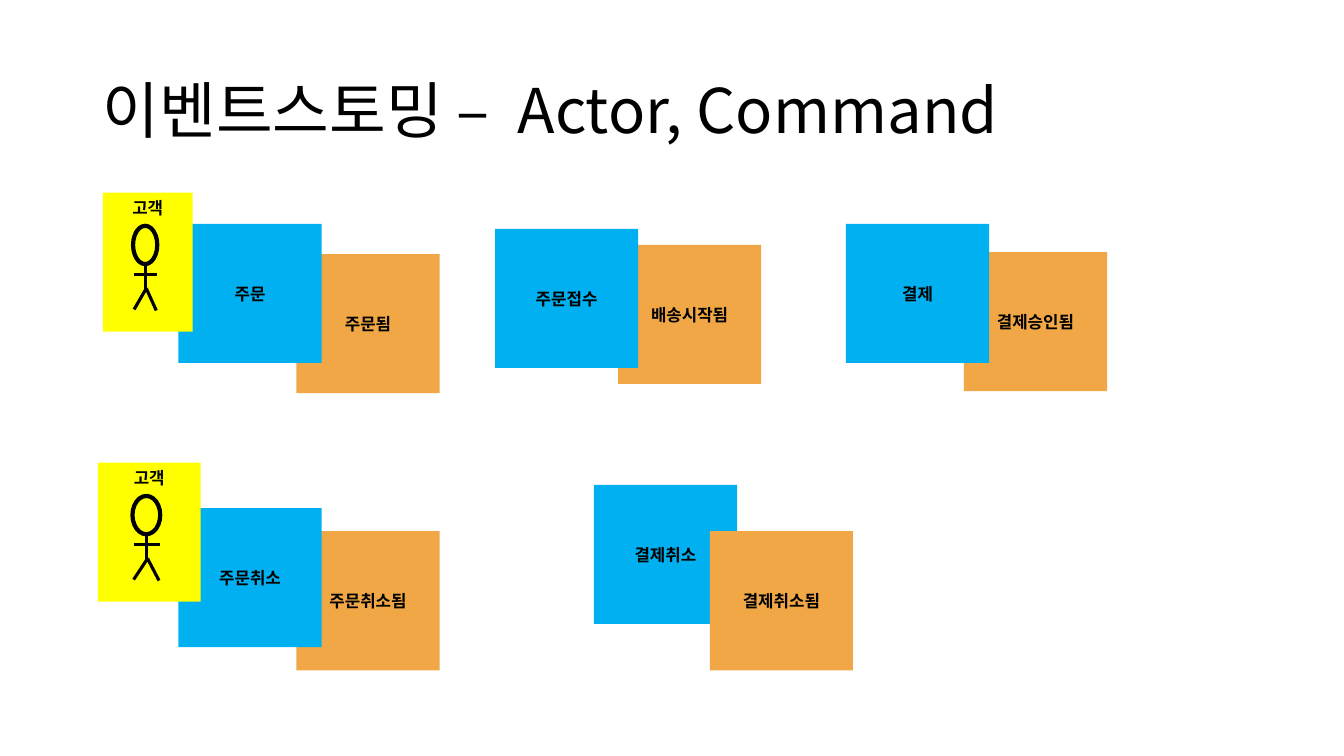
from lxml.etree import SubElement
from pptx import Presentation
from pptx.dml.color import RGBColor
from pptx.enum.shapes import MSO_CONNECTOR, MSO_SHAPE
from pptx.enum.text import MSO_ANCHOR, PP_ALIGN
from pptx.oxml.ns import qn
from pptx.util import Inches, Pt

COLORS = {"text": "000000", "event": "F1A746", "command": "00B0F0", "actor": "FFFF00"}
FONT = "Noto Sans CJK KR"
TITLE_FORMAT = {"name": FONT, "size": Pt(44)}
NOTE_FORMAT = {"name": FONT, "size": Pt(12), "bold": True}
NOTE_W, NOTE_H = 1.42, 1.38
ACTOR_W = 0.89

# Stick figure lines, measured from the corner of an actor note ACTOR_W wide
FIGURE_LINES = [
    (0.31, 0.81, 0.54, 0.81),  # arms
    (0.42, 0.71, 0.42, 0.99),  # body
    (0.42, 0.97, 0.31, 1.16),  # left leg
    (0.43, 0.95, 0.53, 1.17),  # right leg
]

# Notes from back to front: kind, text, left, top
NOTES = [
    ("event", "주문됨", 2.94, 2.52),
    ("event", "결제승인됨", 9.56, 2.5),
    ("event", "배송시작됨", 6.13, 2.43),
    ("event", "주문취소됨", 2.94, 5.27),
    ("command", "주문", 1.77, 2.22),
    ("command", "결제", 8.39, 2.22),
    ("command", "주문접수", 4.91, 2.27),
    ("command", "주문취소", 1.77, 5.04),
    ("command", "결제취소", 5.89, 4.81),
    ("event", "결제취소됨", 7.04, 5.27),
]

# Actors: left, top, width
ACTORS = [(1.02, 1.91, ACTOR_W), (0.97, 4.59, 1.02)]


def rgb(name):
    return RGBColor.from_string(COLORS[name])


def add_run(p, text, fmt):
    r = p.add_run()
    r.text = text
    for key, value in fmt.items():
        setattr(r.font, key, value)
    r.font.color.rgb = rgb("text")
    # East Asian glyphs take the same font
    SubElement(r.font._element, qn("a:ea"), typeface=FONT)
    return r


def add_title(s):
    sp = s.shapes.add_textbox(Inches(0.92), Inches(0.4), Inches(11.5), Inches(1.45))
    tf = sp.text_frame
    tf.word_wrap = True
    tf.vertical_anchor = MSO_ANCHOR.MIDDLE
    p = tf.paragraphs[0]
    p.line_spacing = 0.9
    add_run(p, "이벤트스토밍 –", TITLE_FORMAT)
    # Widened gap after the dash
    gap = add_run(p, " ", TITLE_FORMAT)
    gap.font._element.set("spc", "1000")
    add_run(p, "Actor, Command", TITLE_FORMAT)


def add_note(shapes, kind, text, x, y, w=NOTE_W, anchor=MSO_ANCHOR.MIDDLE):
    sp = shapes.add_shape(MSO_SHAPE.RECTANGLE, Inches(x), Inches(y), Inches(w), Inches(NOTE_H))
    sp.shadow.inherit = False
    sp.fill.solid()
    sp.fill.fore_color.rgb = rgb(kind)
    sp.line.fill.background()
    tf = sp.text_frame
    tf.word_wrap = True
    tf.vertical_anchor = anchor
    p = tf.paragraphs[0]
    p.alignment = PP_ALIGN.CENTER
    add_run(p, text, NOTE_FORMAT)


def add_line(shapes, x1, y1, x2, y2):
    line = shapes.add_connector(
        MSO_CONNECTOR.STRAIGHT, Inches(x1), Inches(y1), Inches(x2), Inches(y2))
    line.line.color.rgb = rgb("text")
    line.line.width = Pt(2.25)
    SubElement(line._element.spPr, qn("a:effectLst"))


def add_actor(s, x, y, w):
    shapes = s.shapes.add_group_shape().shapes
    add_note(shapes, "actor", "고객", x, y, w, MSO_ANCHOR.TOP)
    # The figure stretches sideways with the note
    k = w / ACTOR_W
    head = shapes.add_shape(MSO_SHAPE.OVAL, Inches(x + 0.3 * k), Inches(y + 0.33),
                            Inches(0.24 * k), Inches(0.38))
    head.shadow.inherit = False
    head.fill.background()
    head.line.color.rgb = rgb("text")
    head.line.width = Pt(3)
    for x1, y1, x2, y2 in FIGURE_LINES:
        add_line(shapes, x + x1 * k, y + y1, x + x2 * k, y + y2)


def main():
    prs = Presentation()
    prs.slide_width, prs.slide_height = Inches(13.33), Inches(7.5)
    s = prs.slides.add_slide(prs.slide_layouts[6])
    add_title(s)
    for note in NOTES:
        add_note(s.shapes, *note)
    for actor in ACTORS:
        add_actor(s, *actor)
    prs.save("out.pptx")


if __name__ == "__main__":
    main()
